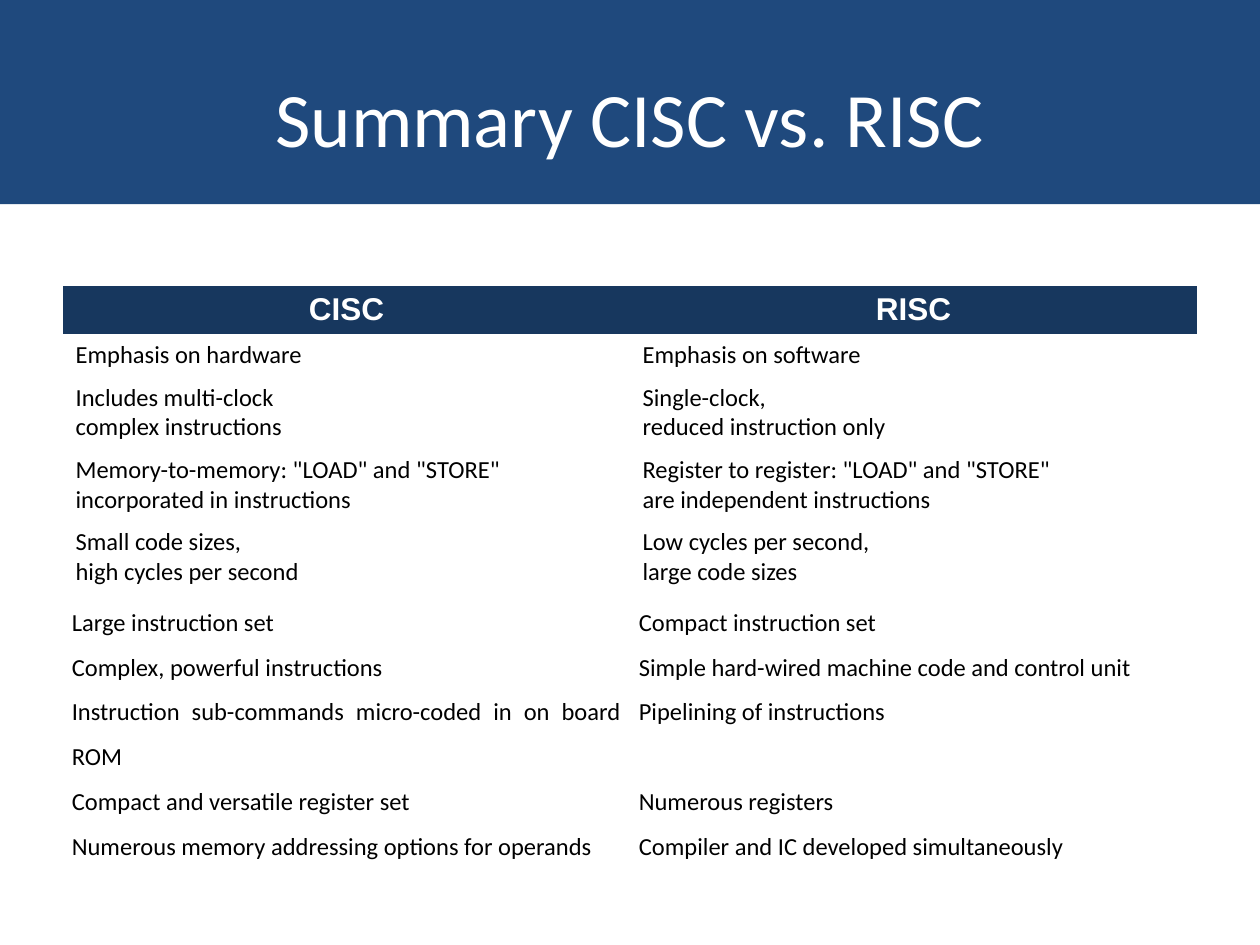
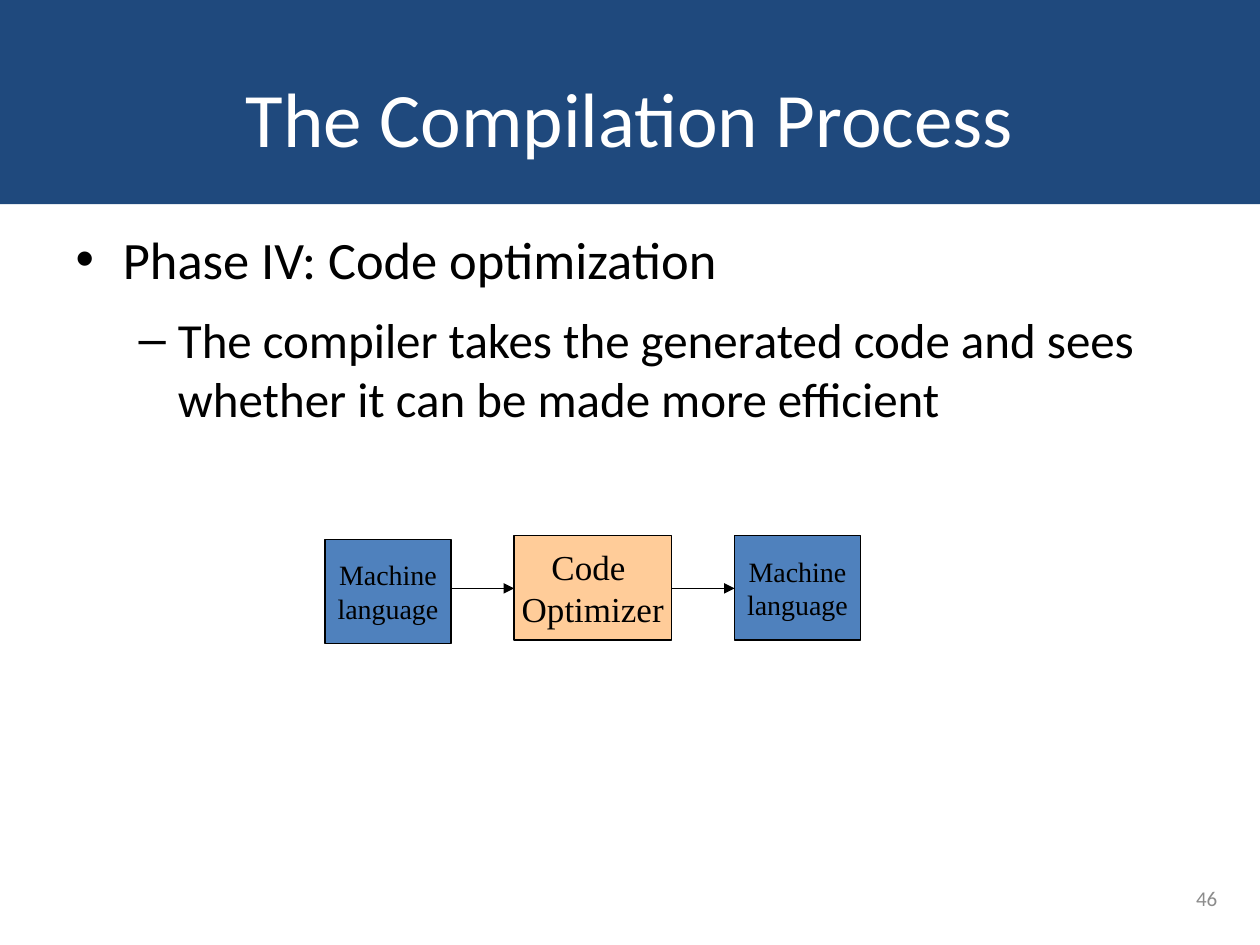
from lxml.etree import SubElement
from pptx import Presentation
from pptx.dml.color import RGBColor
from pptx.enum.shapes import MSO_CONNECTOR, MSO_SHAPE
from pptx.enum.text import MSO_ANCHOR, PP_ALIGN
from pptx.oxml.ns import qn
from pptx.util import Inches, Pt

COLORS = {
    "band": "1F497D",
    "header": "17375E",
    "white": "FFFFFF",
    "black": "000000",
    "number": "8C8C8C",
    "optimizer": "FFCC99",
    "language": "4F81BD",
}
PLAIN_TABLE_STYLE = "{2D5ABB26-0587-4C30-8999-92F81FD0307C}"

SUMMARY_TITLE = "Summary CISC vs. RISC"
HEADINGS = ("CISC", "RISC")
BASICS = [
    ("Emphasis on hardware", "Emphasis on software"),
    ("Includes multi-clock\vcomplex instructions",
     "Single-clock,\vreduced instruction only"),
    ('Memory-to-memory: "LOAD" and "STORE"\vincorporated in instructions',
     'Register to register: "LOAD" and "STORE"\vare independent instructions'),
    ("Small code sizes,\vhigh cycles per second",
     "Low cycles per second,\vlarge code sizes"),
]
DETAILS = [
    ("Large instruction set", "Compact instruction set"),
    ("Complex, powerful instructions",
     "Simple hard-wired machine code and control unit"),
    ("Instruction sub-commands micro-coded in on board ROM",
     "Pipelining of instructions"),
    ("Compact and versatile register set", "Numerous registers"),
    ("Numerous memory addressing options for operands",
     "Compiler and IC developed simultaneously"),
]

PROCESS_TITLE = "The Compilation Process"
PHASE = [
    ("Phase IV: Code optimization", 0, 30),
    ("The compiler takes the generated code and sees "
     "whether it can be made more efficient", 1, 28),
]
STAGES = [
    ("Machine\nlanguage", "language", 1, 4.28, 16),
    ("Code \nOptimizer", "optimizer", 1.25, 4.25, 20),
    ("Machine\nlanguage", "language", 1, 4.25, 16),
]
STAGE_LEFT, STAGE_HEIGHT, STAGE_GAP, ARROW_Y = 2.58, 0.83, 0.5, 4.67
PAGE_NUMBER = "46"

HEADER_FORMAT = {"size": 18, "font": "Arial", "color": "white", "bold": True,
                 "alignment": PP_ALIGN.CENTER}
BASIC_FORMAT = {"size": 14}
DETAIL_FORMAT = {"size": 14, "alignment": PP_ALIGN.JUSTIFY, "line_spacing": 1.5,
                 "space_before": Pt(3), "space_after": Pt(3)}
BASIC_CELL = {"vertical_anchor": MSO_ANCHOR.MIDDLE}
DETAIL_CELL = {"vertical_anchor": MSO_ANCHOR.TOP,
               "margin_left": Inches(0.07), "margin_right": Inches(0.07),
               "margin_top": 0, "margin_bottom": 0}


def rgb(name):
    return RGBColor.from_string(COLORS[name])


def apply(target, values):
    for attribute, value in values.items():
        setattr(target, attribute, value)


def style(paragraph, size, font="Calibri", color="black", bold=False, **layout):
    apply(paragraph.font, {"size": Pt(size), "name": font, "bold": bold})
    paragraph.font.color.rgb = rgb(color)
    apply(paragraph, layout)


def place(shape, left, top, width, height):
    apply(shape, {"left": Inches(left), "top": Inches(top),
                  "width": Inches(width), "height": Inches(height)})


def add_box(slide, left, top, width, height, fill):
    box = slide.shapes.add_shape(MSO_SHAPE.RECTANGLE, Inches(left), Inches(top),
                                 Inches(width), Inches(height))
    box.shadow.inherit = False
    box.fill.solid()
    box.fill.fore_color.rgb = rgb(fill)
    return box


def add_slide(layout, heading):
    slide = deck.slides.add_slide(deck.slide_layouts[layout])
    title = slide.shapes.title
    place(title, 0.5, 0.3, 9, 1.25)
    title.text = heading
    title.text_frame.vertical_anchor = MSO_ANCHOR.MIDDLE
    style(title.text_frame.paragraphs[0], 44, color="white",
          alignment=PP_ALIGN.CENTER)
    return slide


def add_master_band(slide):
    band = add_box(slide, 0, 0, 10, 1.62, "band")
    band.line.fill.background()
    band.element.xpath(".//p:cNvPr")[0].set("id", "99")
    deck.slide_master.shapes.element.insert(2, band.element)


def add_summary_table(slide):
    rows = [(HEADINGS, 0.38, "header", HEADER_FORMAT, BASIC_CELL)]
    for pair in BASICS:
        height = 0.57 if "\v" in pair[0] else 0.33
        rows.append((pair, height, "white", BASIC_FORMAT, BASIC_CELL))
    rows += [(pair, 0.3, "white", DETAIL_FORMAT, DETAIL_CELL) for pair in DETAILS]

    frame = slide.shapes.add_table(len(rows), len(HEADINGS), Inches(0.5),
                                   Inches(2.27), Inches(9), Inches(4.35))
    frame.element.xpath(".//a:tableStyleId")[0].text = PLAIN_TABLE_STYLE
    table = frame.table
    apply(table, {"first_row": False, "horz_banding": False})
    for row, (pair, height, fill, text_format, cell_format) in enumerate(rows):
        table.rows[row].height = Inches(height)
        for column, wording in enumerate(pair):
            cell = table.cell(row, column)
            cell.text = wording
            cell.fill.solid()
            cell.fill.fore_color.rgb = rgb(fill)
            apply(cell, cell_format)
            style(cell.text_frame.paragraphs[0], **text_format)


def add_phase(slide):
    body = slide.placeholders[1]
    place(body, 0.5, 1.75, 9, 4.95)
    body.text = "\n".join(wording for wording, _, _ in PHASE)
    for paragraph, (_, level, size) in zip(body.text_frame.paragraphs, PHASE):
        style(paragraph, size, level=level, space_before=Pt(size * 0.4))


def add_arrow(slide, start, end):
    arrow = slide.shapes.add_connector(MSO_CONNECTOR.STRAIGHT, Inches(start),
                                       Inches(ARROW_Y), Inches(end), Inches(ARROW_Y))
    arrow.line.color.rgb = rgb("black")
    arrow.line.width = Pt(0.75)
    SubElement(arrow.line._get_or_add_ln(), qn("a:tailEnd"), type="triangle")
    SubElement(arrow.element.spPr, qn("a:effectLst"))


def add_stages(slide):
    left = STAGE_LEFT
    for index, (wording, fill, width, top, size) in enumerate(STAGES):
        if index:
            add_arrow(slide, left - STAGE_GAP, left)
        stage = add_box(slide, left, top, width, STAGE_HEIGHT, fill)
        stage.line.color.rgb = rgb("black")
        stage.line.width = Pt(0.75)
        text = stage.text_frame
        text.text = wording
        apply(text, {"word_wrap": False, "vertical_anchor": MSO_ANCHOR.MIDDLE})
        for paragraph in text.paragraphs:
            style(paragraph, size, font="Times New Roman",
                  alignment=PP_ALIGN.CENTER)
        left += width + STAGE_GAP


def add_page_number(slide):
    number = slide.shapes.add_textbox(Inches(7.68), Inches(6.88),
                                      Inches(2.08), Inches(0.5)).text_frame
    number.text = PAGE_NUMBER
    apply(number, {"word_wrap": True, "vertical_anchor": MSO_ANCHOR.MIDDLE})
    style(number.paragraphs[0], 12, color="number", alignment=PP_ALIGN.RIGHT)


deck = Presentation()
apply(deck, {"slide_width": Inches(10), "slide_height": Inches(7.5)})

summary = add_slide(5, SUMMARY_TITLE)
add_master_band(summary)
add_summary_table(summary)

process = add_slide(1, PROCESS_TITLE)
add_phase(process)
add_page_number(process)
add_stages(process)

deck.save("out.pptx")
